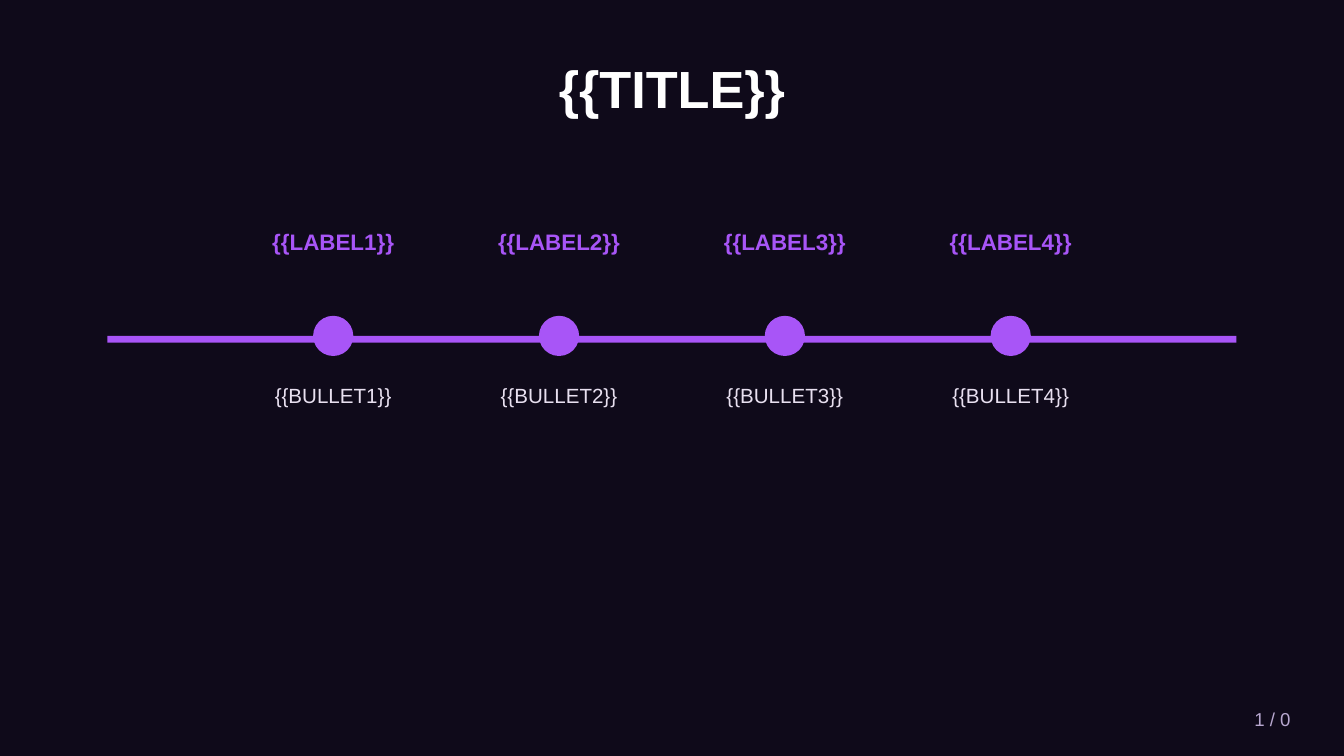
from pptx import Presentation
from pptx.dml.color import RGBColor
from pptx.enum.shapes import MSO_SHAPE
from pptx.enum.text import MSO_ANCHOR, PP_ALIGN
from pptx.util import Cm, Pt

RECTANGLE, OVAL = MSO_SHAPE.RECTANGLE, MSO_SHAPE.OVAL
TOP, MIDDLE = MSO_ANCHOR.TOP, MSO_ANCHOR.MIDDLE
CENTER, RIGHT = PP_ALIGN.CENTER, PP_ALIGN.RIGHT

TITLE = "{{TITLE}}"
MILESTONES = [
    ("{{LABEL1}}", "{{BULLET1}}"),
    ("{{LABEL2}}", "{{BULLET2}}"),
    ("{{LABEL3}}", "{{BULLET3}}"),
    ("{{LABEL4}}", "{{BULLET4}}"),
]
PAGE_NUMBER = "1 / 0"

THEME = {
    "font": "Arial",
    "background": "0F0A1A",
    "accent": "A855F7",
    "title": {"size": 28, "bold": True, "color": "FFFFFF"},
    "label": {"size": 12, "bold": True, "color": "A855F7"},
    "bullet": {"size": 11, "bold": False, "color": "E8E0F0"},
    "page": {"size": 10, "bold": False, "color": "B8A8D0"},
}

LINE_LEFT, LINE_TOP, LINE_WIDTH, LINE_HEIGHT = 2.03, 6.35, 21.34, 0.13
DOT_SIZE = 0.76
TEXT_WIDTH = 5.08


def place(shape, left, top, width, height):
    box = {"left": left, "top": top, "width": width, "height": height}
    for name, value in box.items():
        setattr(shape, name, Cm(value))


def write(shape, text, style, alignment=CENTER, anchor=MIDDLE):
    frame = shape.text_frame
    frame.word_wrap = True
    frame.vertical_anchor = anchor
    paragraph = frame.paragraphs[0]
    paragraph.alignment = alignment
    run = paragraph.add_run()
    run.text = text
    font_format = {
        "name": THEME["font"],
        "size": Pt(style["size"]),
        "bold": style["bold"],
    }
    for name, value in font_format.items():
        setattr(run.font, name, value)
    run.font.color.rgb = RGBColor.from_string(style["color"])


def add_text(slide, box, text, style, **layout):
    shape = slide.shapes.add_textbox(*map(Cm, box))
    write(shape, text, THEME[style], **layout)


def add_accent(slide, kind, box):
    shape = slide.shapes.add_shape(kind, *map(Cm, box))
    shape.shadow.inherit = False
    shape.fill.solid()
    shape.fill.fore_color.rgb = RGBColor.from_string(THEME["accent"])
    shape.line.fill.background()


def add_timeline(slide):
    add_accent(slide, RECTANGLE, (LINE_LEFT, LINE_TOP, LINE_WIDTH, LINE_HEIGHT))
    step = LINE_WIDTH / (len(MILESTONES) + 1)
    for position, (label, bullet) in enumerate(MILESTONES, start=1):
        center = LINE_LEFT + position * step
        dot_box = (center - DOT_SIZE / 2, LINE_TOP - DOT_SIZE / 2, DOT_SIZE, DOT_SIZE)
        text_left = center - TEXT_WIDTH / 2
        add_accent(slide, OVAL, dot_box)
        add_text(slide, (text_left, 3.81, TEXT_WIDTH, 1.52), label, "label")
        add_text(slide, (text_left, 7.11, TEXT_WIDTH, 3.81), bullet, "bullet", anchor=TOP)


def main():
    presentation = Presentation()
    presentation.slide_width = Cm(25.4)
    presentation.slide_height = Cm(14.29)
    slide = presentation.slides.add_slide(presentation.slide_layouts[5])
    slide.background.fill.solid()
    slide.background.fill.fore_color.rgb = RGBColor.from_string(THEME["background"])

    title = slide.shapes.title
    place(title, 1.27, 0.76, 22.86, 1.78)
    write(title, TITLE, THEME["title"])
    add_timeline(slide)
    add_text(slide, (21.59, 13.21, 3.05, 0.76), PAGE_NUMBER, "page", alignment=RIGHT)
    presentation.save("out.pptx")


if __name__ == "__main__":
    main()
